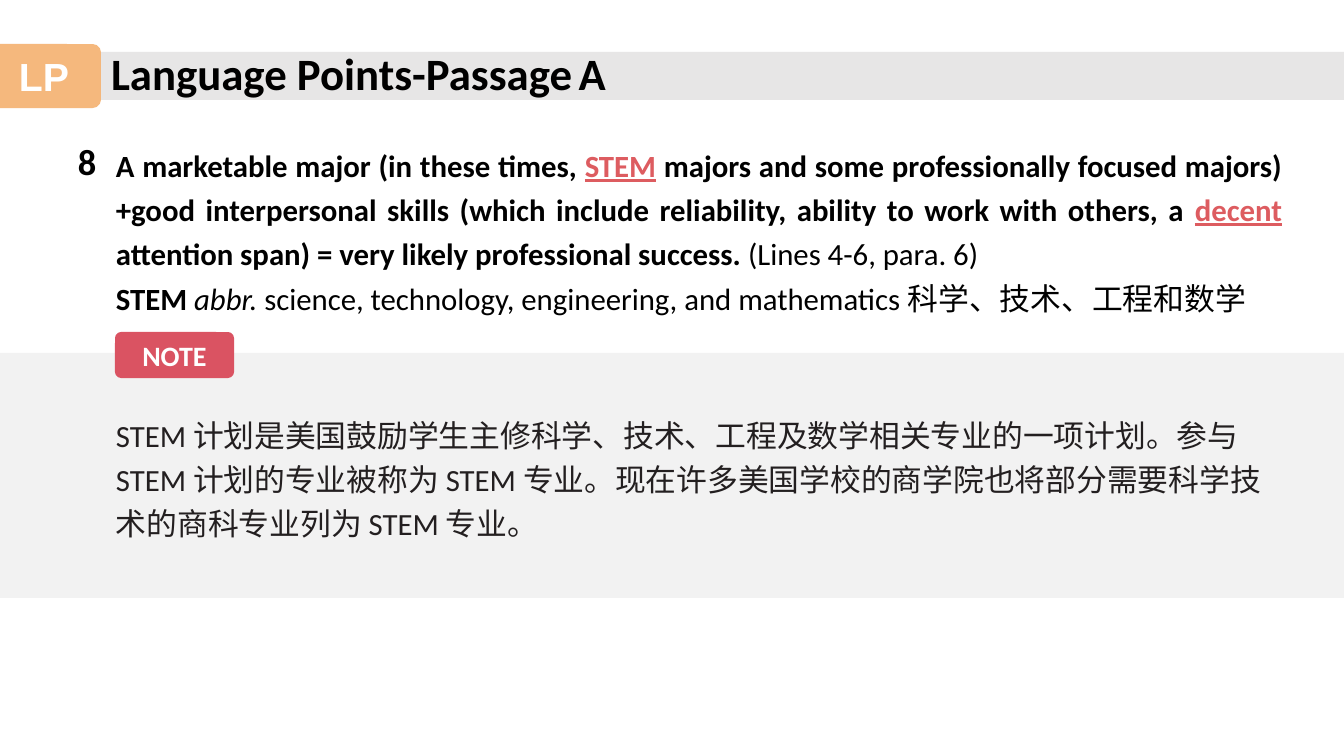
from lxml.etree import SubElement
from pptx import Presentation
from pptx.dml.color import RGBColor
from pptx.enum.shapes import MSO_SHAPE
from pptx.enum.text import MSO_ANCHOR, MSO_AUTO_SIZE, PP_ALIGN
from pptx.oxml.ns import qn
from pptx.util import Emu, Pt

PX = 914400 / 100.8
BLACK = RGBColor(0x00, 0x00, 0x00)
WHITE = RGBColor(0xFF, 0xFF, 0xFF)
INK = RGBColor(0x23, 0x1F, 0x20)
RED = RGBColor(0xDD, 0x5C, 0x60)
ROSE = RGBColor(0xDA, 0x53, 0x62)
ORANGE = RGBColor(0xF1, 0x9B, 0x48)
BAR_GRAY = RGBColor(0xE7, 0xE6, 0xE6)
BAND_GRAY = RGBColor(0xF2, 0xF2, 0xF2)
LATIN = "Calibri"
CHINESE = "Noto Sans CJK SC"


def box(left, top, width, height):
    return [Emu(round(length * PX)) for length in (left, top, width, height)]


def add_runs(paragraph, size, color, runs):
    paragraph.font.size = Pt(size)
    for text, style in runs:
        run = paragraph.add_run()
        run.text = text
        run.font.name = CHINESE if "chinese" in style else LATIN
        run.font.bold = "bold" in style
        run.font.italic = "italic" in style
        run.font.underline = "key" in style
        run.font.color.rgb = RED if "key" in style else color
        if "chinese" in style:
            SubElement(run.font._element, qn("a:ea"), typeface=CHINESE)


presentation = Presentation()
presentation.slide_width, presentation.slide_height = box(0, 0, 1344, 756)[2:]
slide = presentation.slides.add_slide(presentation.slide_layouts[5])
shapes = slide.shapes

panels = [
    (MSO_SHAPE.RECTANGLE, (101, 52, 1243, 48), BAR_GRAY, "", None, None),
    (MSO_SHAPE.ROUNDED_RECTANGLE, (-13, 44, 114, 64), ORANGE, "LP", "Arial", 28),
    (MSO_SHAPE.RECTANGLE, (0, 353, 1344, 245), BAND_GRAY, "", None, None),
    (MSO_SHAPE.ROUNDED_RECTANGLE, (115, 332, 119, 46), ROSE, "NOTE", LATIN, 20),
]
for preset, place, color, label, font_name, size in panels:
    shape = shapes.add_shape(preset, *box(*place))
    shape.shadow.inherit = False
    shape.fill.solid()
    shape.fill.fore_color.rgb = color
    shape.line.fill.background()
    if label:
        shape.adjustments[0] = 0.13
        shape.text_frame.vertical_anchor = MSO_ANCHOR.MIDDLE
        paragraph = shape.text_frame.paragraphs[0]
        paragraph.text = label
        paragraph.alignment = PP_ALIGN.CENTER
        paragraph.font.name = font_name
        paragraph.font.size = Pt(size)
        paragraph.font.bold = True
        paragraph.font.color.rgb = WHITE
    if color == ORANGE:
        color_element = shape.fill._xPr.find(qn("a:solidFill"))[0]
        SubElement(color_element, qn("a:alpha"), val="71000")

title = shapes.title
title.left, title.top, title.width, title.height = box(101, 41, 553, 64)
title.element.getparent().append(title.element)
title.text_frame.auto_size = MSO_AUTO_SIZE.NONE
title.text_frame.vertical_anchor = MSO_ANCHOR.TOP
paragraph = title.text_frame.paragraphs[0]
paragraph.alignment = PP_ALIGN.LEFT
add_runs(paragraph, 32, BLACK, [("Language Points-Passage", "bold"), (" ", ""), ("A", "bold")])
paragraph.runs[1].font.size = Pt(18)

texts = [
    ((68, 134, 47, 54), 26, BLACK, PP_ALIGN.LEFT, 1.0, [[("8", "bold")]]),
    ((106, 134, 1186, 185), 22, BLACK, PP_ALIGN.JUSTIFY, 1.2, [
        [
            ("A marketable major (in these times, ", "bold"),
            ("STEM", "bold key"),
            (" majors and some professionally focused majors) +good interpersonal skills "
             "(which include reliability, ability to work with others, a ", "bold"),
            ("decent", "bold key"),
            (" attention span) = very likely professional success. ", "bold"),
            ("(Lines 4-6, para. 6) ", ""),
        ],
        [
            ("STEM ", "bold"),
            ("abbr.", "italic"),
            (" science, technology, engineering, and mathematics ", ""),
            ("科学、技术、工程和数学", "chinese"),
        ],
    ]),
    ((106, 404, 1193, 141), 22, INK, PP_ALIGN.LEFT, 1.2, [
        [
            ("STEM ", ""),
            ("计划是美国鼓励学生主修科学、技术、工程及数学相关专业的一项计划。参与", "chinese"),
            ("STEM ", ""),
            ("计划的专业被称为 ", "chinese"),
            ("STEM ", ""),
            ("专业。现在许多美国学校的商学院也将部分需要科学技术的商科专业列为 ", "chinese"),
            ("STEM ", ""),
            ("专业。", "chinese"),
        ],
    ]),
]
for place, size, color, alignment, spacing, paragraphs in texts:
    text_frame = shapes.add_textbox(*box(*place)).text_frame
    text_frame.word_wrap = True
    for index, runs in enumerate(paragraphs):
        paragraph = text_frame.add_paragraph() if index else text_frame.paragraphs[0]
        paragraph.alignment = alignment
        paragraph.line_spacing = spacing
        add_runs(paragraph, size, color, runs)

presentation.save("out.pptx")
